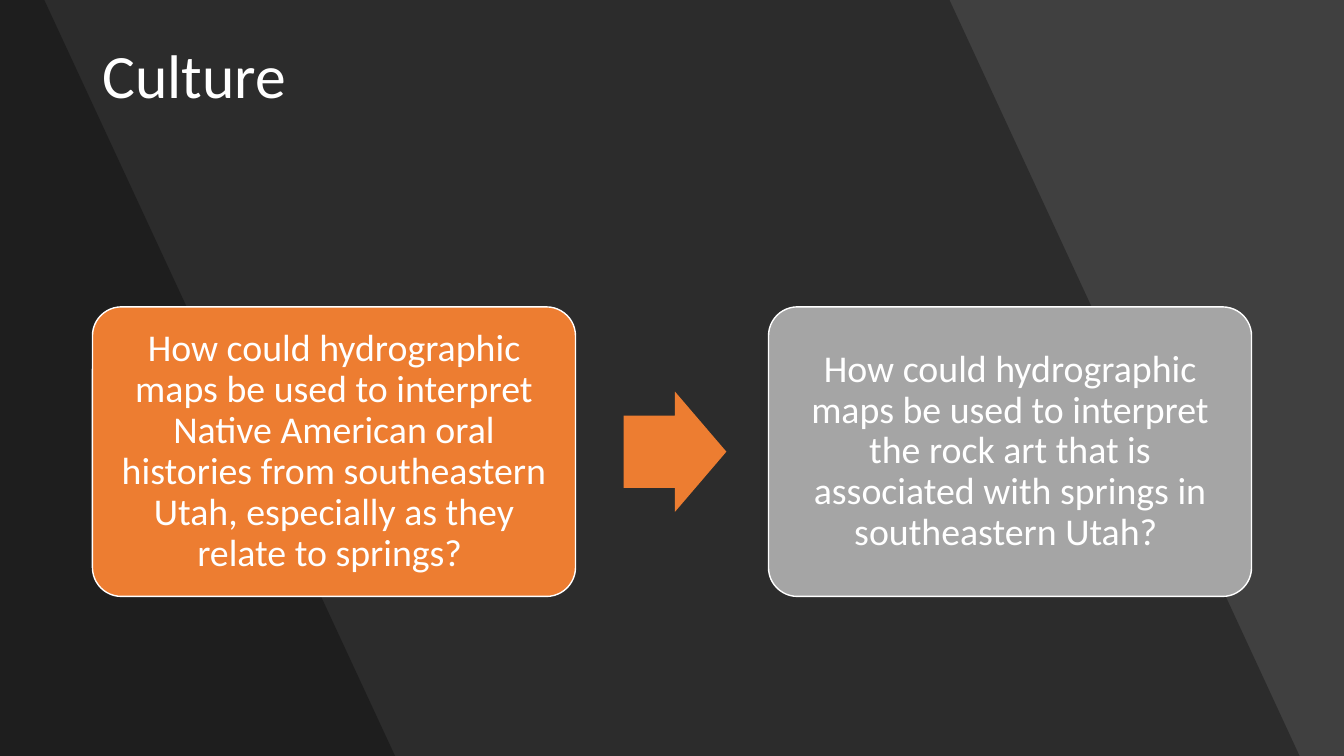
from dataclasses import dataclass

from lxml import etree
from pptx import Presentation, util as u
from pptx.dml.color import RGBColor
from pptx.enum import shapes, text
from pptx.oxml.ns import qn

WHITE = RGBColor(0xFF, 0xFF, 0xFF)
BLACK = RGBColor(0x00, 0x00, 0x00)
CHARCOAL = RGBColor(0x40, 0x40, 0x40)
ORANGE = RGBColor(0xED, 0x7D, 0x31)
GRAY = RGBColor(0xA5, 0xA5, 0xA5)

FONT = "Calibri"
WIDTH, HEIGHT = u.Inches(13.33), u.Inches(7.5)
COLUMNS = ROWS = 100
CARD_TOP, CARD_WIDTH, CARD_HEIGHT = 40.6, 35.94, 38.3
ARROW_WIDTH, ARROW_HEIGHT = 7.65, 15.9


@dataclass
class Band:
    top_edge: float
    bottom_edge: float


@dataclass
class Card:
    left: float
    fill: RGBColor
    question: str


BANDS = [Band(70.65, 96.7), Band(3.3, 29.4)]
CARDS = [
    Card(6.88, ORANGE, "How could hydrographic maps be used to interpret Native American "
         "oral histories from southeastern Utah, especially as they relate to springs? "),
    Card(57.18, GRAY, "How could hydrographic maps be used to interpret the rock art "
         "that is associated with springs in southeastern Utah? "),
]


def col(n: float) -> int:
    return round(WIDTH * n / COLUMNS)


def row(n: float) -> int:
    return round(HEIGHT * n / ROWS)


def style_paragraph(p, size: float) -> None:
    p.line_spacing = 0.9
    p.font.name = FONT
    p.font.size = u.Pt(size)
    p.font.color.rgb = WHITE


def draw_band(s, band: Band) -> None:
    builder = s.shapes.build_freeform(0, 0)
    builder.add_line_segments([
        (col(band.top_edge), 0),
        (col(band.bottom_edge), HEIGHT),
        (0, HEIGHT),
    ])
    sp = builder.convert_to_shape()
    sp.shadow.inherit = False
    sp.fill.solid()
    sp.fill.fore_color.rgb = BLACK
    sp.line.fill.background()
    color = sp.fill._xPr.find(qn("a:solidFill"))[0]
    etree.SubElement(color, qn("a:alpha"), val="30000")


def draw_title(s, title: str) -> None:
    sp = s.shapes.add_textbox(col(6.87), row(5.33), col(86.35), row(19.33))
    tf = sp.text_frame
    tf.word_wrap = True
    tf.vertical_anchor = text.MSO_ANCHOR.TOP
    p = tf.paragraphs[0]
    p.text = title
    style_paragraph(p, 44)


def draw_card(s, card: Card) -> None:
    sp = s.shapes.add_shape(
        shapes.MSO_SHAPE.ROUNDED_RECTANGLE,
        col(card.left), row(CARD_TOP), col(CARD_WIDTH), row(CARD_HEIGHT))
    sp.adjustments[0] = 0.1
    sp.shadow.inherit = False
    sp.fill.solid()
    sp.fill.fore_color.rgb = card.fill
    sp.line.color.rgb = WHITE
    sp.line.width = u.Pt(1)
    tf = sp.text_frame
    tf.word_wrap = True
    tf.vertical_anchor = text.MSO_ANCHOR.MIDDLE
    tf.margin_left = tf.margin_right = tf.margin_top = tf.margin_bottom = u.Inches(0.11)
    p = tf.paragraphs[0]
    p.text = card.question
    p.alignment = text.PP_ALIGN.CENTER
    style_paragraph(p, 27)


def draw_arrow(s) -> None:
    top = CARD_TOP + (CARD_HEIGHT - ARROW_HEIGHT) / 2
    sp = s.shapes.add_shape(
        shapes.MSO_SHAPE.RIGHT_ARROW,
        col(46.4), row(top), col(ARROW_WIDTH), row(ARROW_HEIGHT))
    sp.adjustments[0] = 0.6
    sp.adjustments[1] = 0.5
    sp.shadow.inherit = False
    sp.fill.solid()
    sp.fill.fore_color.rgb = ORANGE
    sp.line.fill.background()


def main() -> None:
    prs = Presentation()
    prs.slide_width, prs.slide_height = WIDTH, HEIGHT
    s = prs.slides.add_slide(prs.slide_layouts[6])
    s.background.fill.solid()
    s.background.fill.fore_color.rgb = CHARCOAL
    for band in BANDS:
        draw_band(s, band)
    draw_title(s, "Culture")
    for card in CARDS:
        draw_card(s, card)
    draw_arrow(s)
    prs.save("out.pptx")


if __name__ == "__main__":
    main()
